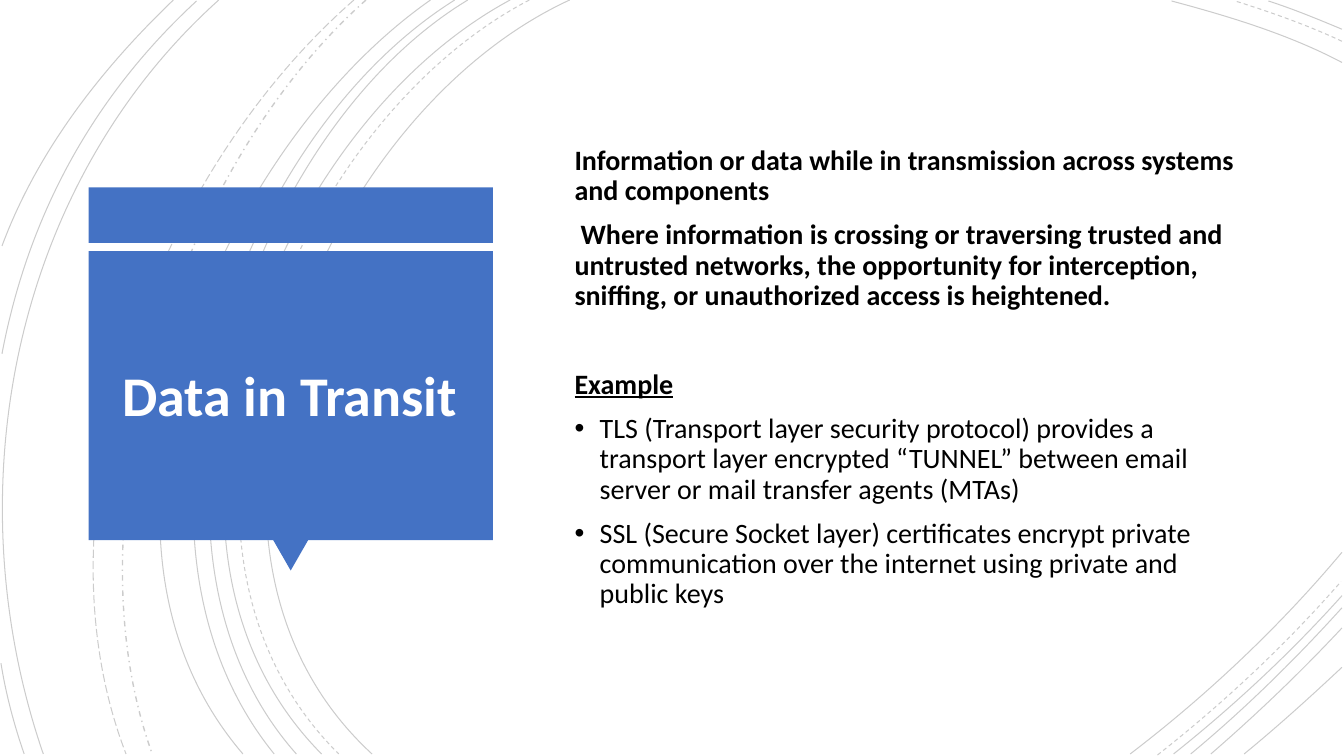
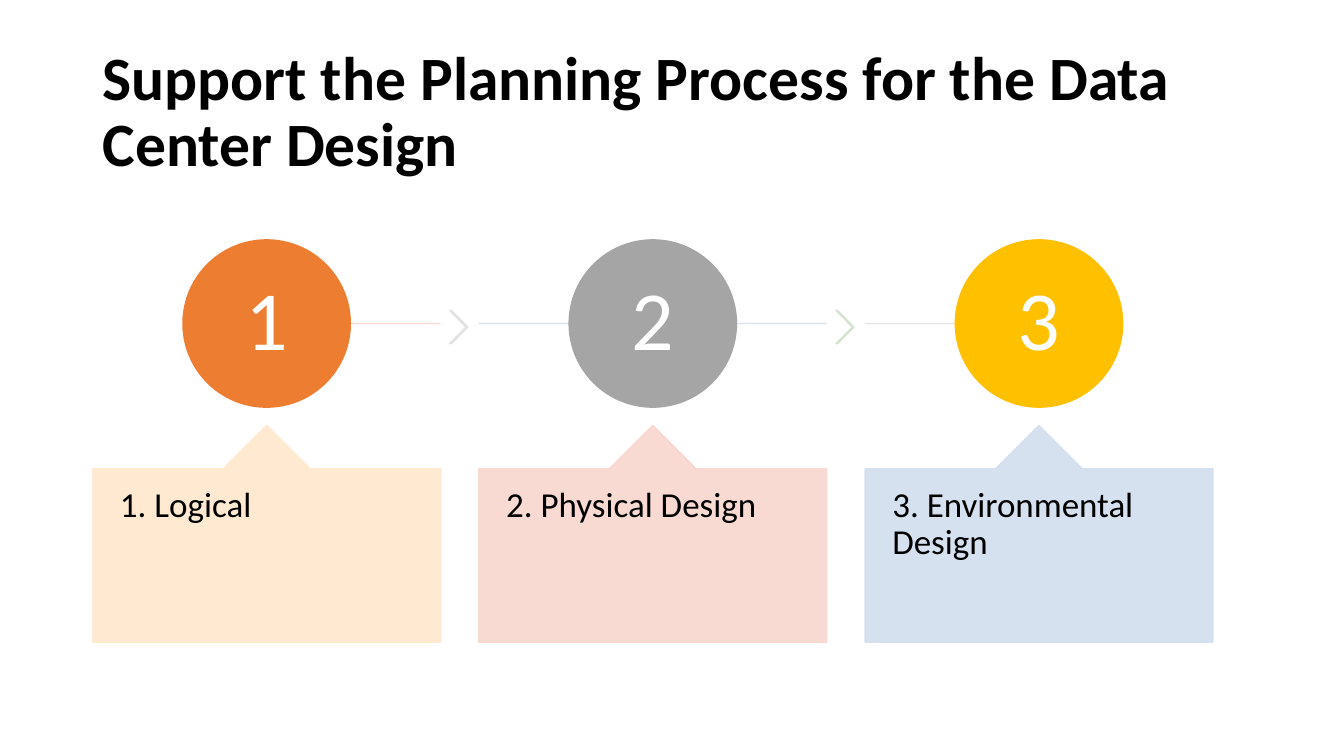
from lxml import etree
from pptx import Presentation
from pptx.dml.color import RGBColor
from pptx.enum.dml import MSO_LINE
from pptx.enum.shapes import MSO_CONNECTOR, MSO_SHAPE
from pptx.enum.text import MSO_ANCHOR, PP_ALIGN
from pptx.oxml.ns import qn
from pptx.util import Inches, Pt

SOLID, DASH = MSO_LINE.SOLID, MSO_LINE.DASH
DASH_DOT, LONG_DASH = MSO_LINE.DASH_DOT, MSO_LINE.LONG_DASH
RECT, TRIANGLE = MSO_SHAPE.RECTANGLE, MSO_SHAPE.ISOSCELES_TRIANGLE
OVAL, CHEVRON = MSO_SHAPE.OVAL, MSO_SHAPE.CHEVRON
UP_CALLOUT = MSO_SHAPE.UP_ARROW_CALLOUT
STRAIGHT = MSO_CONNECTOR.STRAIGHT
TOP, MIDDLE = MSO_ANCHOR.TOP, MSO_ANCHOR.MIDDLE
LEFT, CENTER = PP_ALIGN.LEFT, PP_ALIGN.CENTER

SLIDE_W, SLIDE_H = 13.33, 7.5
FONT = "Calibri"
BLACK, WHITE, BLUE = "000000", "FFFFFF", "4472C4"
LINE_SPACING = 0.9
GRID_COLUMNS = 1333  # fine grid on which the background arcs are drawn

# Arcs: start, two control points and end, as columns and rows of the grid
SOLID_ARCS = [
    (565, 0, 315, 115, 143, 540, 369, 748),
    (1331, 62, 1278, 34, 1218, 16, 1162, 1),
    (1121, 748, 1197, 690, 1269, 622, 1331, 548),
    (506, 0, 270, 127, 110, 537, 319, 748),
    (1331, 29, 1307, 19, 1283, 9, 1258, 1),
    (1164, 748, 1223, 701, 1280, 648, 1331, 591),
    (464, 0, 244, 133, 110, 541, 294, 748),
    (1181, 748, 1234, 704, 1284, 655, 1331, 603),
    (451, 0, 231, 138, 97, 533, 272, 748),
    (1201, 748, 1246, 709, 1290, 667, 1331, 623),
    (427, 0, 217, 147, 53, 529, 241, 748),
    (1234, 748, 1267, 721, 1299, 692, 1331, 662),
    (217, 0, 11, 185, -46, 490, 43, 748),
    (195, 1, 92, 96, 28, 214, 2, 351),
    (1, 658, 6, 689, 14, 719, 24, 748),
    (172, 0, 100, 69, 37, 150, 2, 244),
]
DASHED_ARCS = [
    (525, 0, 285, 125, 123, 537, 336, 748),
    (1331, 41, 1297, 25, 1260, 12, 1225, 1),
    (1148, 749, 1213, 698, 1275, 640, 1330, 577),
]
DASH_DOT_ARCS = [(363, 0, 176, 166, 65, 509, 151, 748)]
LONG_DASH_ARCS = [(351, 0, 157, 169, 29, 499, 125, 748)]
ARC_STYLES = [(SOLID_ARCS, SOLID, 0.75), (DASHED_ARCS, DASH, 0.75),
              (DASH_DOT_ARCS, DASH_DOT, 1), (LONG_DASH_ARCS, LONG_DASH, 0.75)]

# Text, bold, underlined, bulleted, first-line indent, space before
TRANSIT_TEXT = [
    ("Information or data while in transmission across systems and components",
     True, False, False, 0, 0),
    ("Where information is crossing or traversing trusted and untrusted networks, "
     "the opportunity for interception, sniffing, or unauthorized access is heightened.",
     True, False, False, 0.06, 10),
    ("Example", True, True, False, 0, 42),
    ("TLS (Transport layer security protocol) provides a transport layer encrypted "
     "“TUNNEL” between email server or mail transfer agents (MTAs)",
     False, False, True, -0.25, 10),
    ("SSL (Secure Socket layer) certificates encrypt private communication over the "
     "internet using private and public keys", False, False, True, -0.25, 10),
]

# Text, circle, callout, line, following chevron
DESIGN_STEPS = [
    ("1. Logical", "ED7D31", "FFE8CC", "F8D7CE", "E1E1E1"),
    ("2. Physical Design", "A5A5A5", "F8D7CE", "D2DEEF", "D5E3CF"),
    ("3. Environmental Design", "FFC000", "D2DEEF", "E1E1E1", None),
]


def paint(color_format, color, opacity=100):
    """Set a fill or line fill to a hex colour with an opacity in percent."""
    color_format.solid()
    color_format.fore_color.rgb = RGBColor.from_string(color)
    if opacity < 100:
        for rgb in color_format._xPr.iter(qn("a:srgbClr")):
            etree.SubElement(rgb, qn("a:alpha"), val=str(opacity * 1000))


def within(box, x, y, w, h):
    """Turn offsets and sizes given as shares of a box into inches."""
    left, top, width, height = box
    return left + x * width, top + y * height, w * width, h * height


def add_block(slide, kind, box, color, opacity=100, adjustments=(), outlined=False):
    block = slide.shapes.add_shape(kind, *map(Inches, box))
    block.shadow.inherit = False
    for index, value in enumerate(adjustments):
        block.adjustments[index] = value
    paint(block.fill, color, opacity)
    if outlined:
        paint(block.line.fill, color, opacity)
        block.line.width = Pt(1)
    else:
        block.line.fill.background()
    return block


def set_frame(shape, anchor, side=0.1, end=0.05):
    frame = shape.text_frame
    frame.word_wrap = True
    frame.vertical_anchor = anchor
    frame.margin_left = frame.margin_right = Inches(side)
    frame.margin_top = frame.margin_bottom = Inches(end)
    return frame


def write(paragraph, text, size, color=BLACK, bold=False, align=LEFT):
    paragraph.text = text
    paragraph.alignment = align
    paragraph.line_spacing = LINE_SPACING
    font = paragraph.font
    font.name, font.size, font.bold = FONT, Pt(size), bold
    paint(font.fill, color)


def add_title(slide, box, text, size, color, align):
    heading = slide.shapes.add_textbox(*map(Inches, box))
    write(set_frame(heading, MIDDLE).paragraphs[0], text, size, color, True, align)


def add_curve(slide, points):
    """Draw one open cubic curve through a start, two control points and an end."""
    builder = slide.shapes.build_freeform(*points[0])
    builder.add_line_segments(points[1:], close=False)
    curve = builder.convert_to_shape()
    segments = list(curve._element.iter(qn("a:lnTo")))
    outline = segments[0].getparent()
    bend = etree.SubElement(outline, qn("a:cubicBezTo"))
    for segment in segments:
        bend.append(segment[0])
        outline.remove(segment)
    return curve


def add_arcs(slide, width):
    cell = width / GRID_COLUMNS
    for arcs, dash, weight in ARC_STYLES:
        for numbers in arcs:
            lengths = [round(number * cell) for number in numbers]
            arc = add_curve(slide, list(zip(lengths[::2], lengths[1::2])))
            arc.shadow.inherit = False
            arc.fill.background()
            paint(arc.line.fill, BLACK, 20)
            arc.line.width = Pt(weight)
            arc.line.dash_style = dash


def add_title_sign(slide, box, text):
    add_block(slide, RECT, within(box, 0, 0, 1, 0.145), BLUE)
    tail = add_block(slide, TRIANGLE, within(box, 0.456, 0.92, 0.087, 0.08), BLUE)
    tail.rotation = 180
    add_block(slide, RECT, within(box, 0, 0.166, 1, 0.755), BLUE)
    add_title(slide, within(box, 0.027, 0.205, 0.94, 0.69), text, 40, WHITE, CENTER)


def add_body(slide, box, entries):
    frame = set_frame(slide.shapes.add_textbox(*map(Inches, box)), MIDDLE)
    for index, (text, bold, underlined, bulleted, indent, before) in enumerate(entries):
        paragraph = frame.add_paragraph() if index else frame.paragraphs[0]
        properties = paragraph._p.get_or_add_pPr()
        properties.set("indent", str(Inches(indent)))
        if bulleted:
            properties.set("marL", str(Inches(-indent)))
            etree.SubElement(properties, qn("a:buFont"), typeface="Arial")
            etree.SubElement(properties, qn("a:buChar"), char="•")
        paragraph.space_before = Pt(before)
        write(paragraph, text, 20, bold=bold)
        if underlined:
            paragraph.font.underline = True


def add_track(slide, start, end, y, color):
    track = slide.shapes.add_connector(STRAIGHT, *map(Inches, (start, y, end, y)))
    paint(track.line.fill, color, 90)
    track.line.width = Pt(1)
    etree.SubElement(track._element.spPr, qn("a:effectLst"))


def add_steps(slide, box, steps, gap=0.38, circle_size=1.66, callout_height=2.15):
    left, top, width, height = box
    column = (width - gap * (len(steps) - 1)) / len(steps)
    middle = top + circle_size / 2
    callout_top = top + height - callout_height
    for index, (text, circle_color, callout_color, track_color, next_color) in enumerate(steps):
        x = left + index * (column + gap)
        center = x + column / 2
        # Track and chevron towards the next step
        add_track(slide, x if index else center,
                  x + column if next_color else center, middle, track_color)
        if next_color:
            add_block(slide, CHEVRON, (x + column + gap / 2 - 0.1, middle - 0.13, 0.18, 0.33),
                      next_color, 90, [0.9], True)
        # Numbered circle
        circle = add_block(slide, OVAL, (center - circle_size / 2, top, circle_size, circle_size),
                           circle_color, outlined=True)
        write(set_frame(circle, MIDDLE, 0.06, 0.06).paragraphs[0],
              str(index + 1), 60, WHITE, align=CENTER)
        # Callout
        callout = add_block(slide, UP_CALLOUT, (x, callout_top, column, callout_height),
                            callout_color, 90, [0.5, 0.2, 0.2, 1], True)
        write(set_frame(callout, TOP, 0.27, 0.18).paragraphs[0], text, 25)


def build_transit_slide(slide, width):
    add_arcs(slide, width)
    add_title_sign(slide, (0.88, 1.86, 4.01, 3.8), "Data in Transit")
    add_body(slide, (5.6, 0.88, 6.87, 5.74), TRANSIT_TEXT)


def build_planning_slide(slide):
    add_title(slide, (0.92, 0.4, 11.5, 1.45),
              "Support the Planning Process for the Data Center Design", 44, BLACK, LEFT)
    add_steps(slide, (0.92, 2.38, 11.11, 3.99), DESIGN_STEPS)


def main():
    deck = Presentation()
    deck.slide_width, deck.slide_height = Inches(SLIDE_W), Inches(SLIDE_H)
    blank = deck.slide_layouts[6]
    build_transit_slide(deck.slides.add_slide(blank), deck.slide_width)
    build_planning_slide(deck.slides.add_slide(blank))
    deck.save("out.pptx")


if __name__ == "__main__":
    main()
